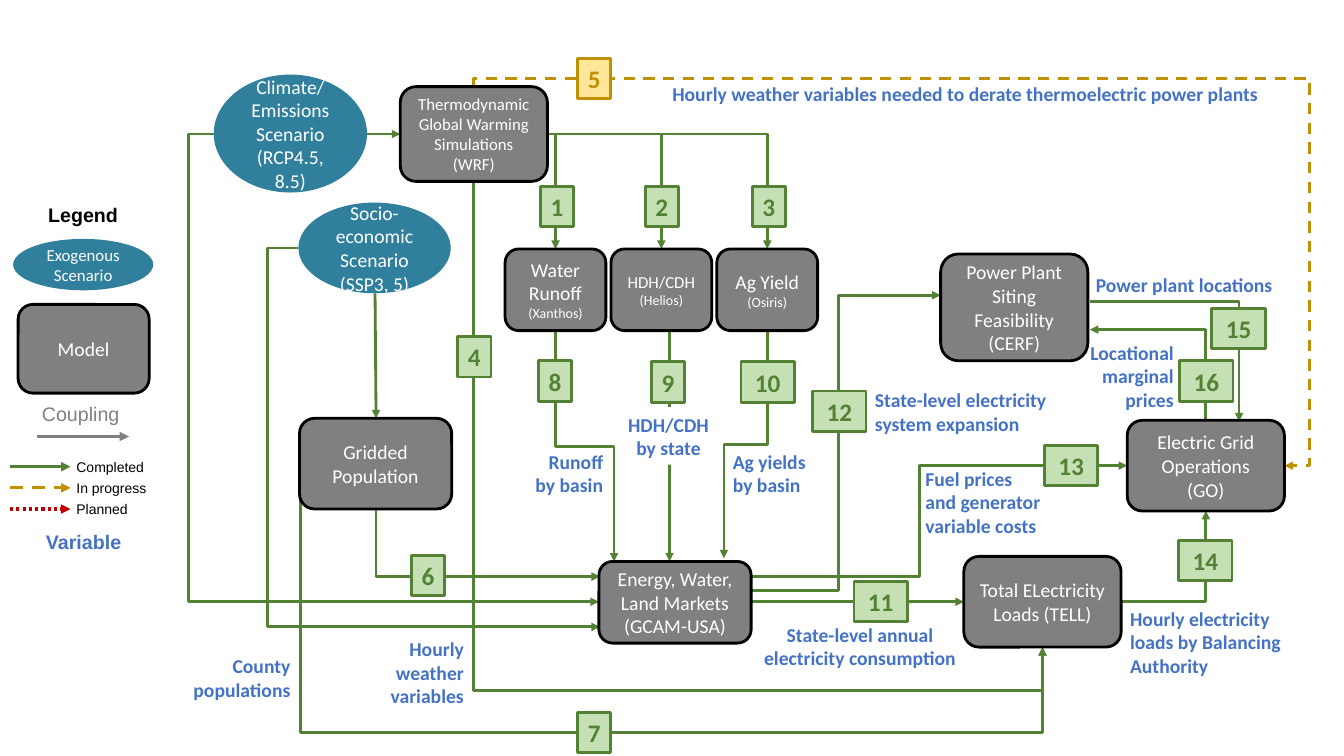
import pptx
import pptx.util
import pptx.dml.color
import pptx.enum.dml
import pptx.enum.shapes
import pptx.enum.text
import pptx.oxml.ns
import lxml.etree

Inches = pptx.util.Inches
Pt = pptx.util.Pt
Kind = pptx.enum.shapes.MSO_SHAPE
Link = pptx.enum.shapes.MSO_CONNECTOR
Dash = pptx.enum.dml.MSO_LINE
Align = pptx.enum.text.PP_ALIGN
Anchor = pptx.enum.text.MSO_ANCHOR
qn = pptx.oxml.ns.qn

COLORS = {
    "green": "548235", "mint": "C5E0B4", "gold": "BF9000", "cream": "FFE699",
    "teal": "307F9C", "gray": "808080", "blue": "4472C4", "red": "C00000",
    "white": "FFFFFF", "black": "000000",
}
SIDES = {"l": Align.LEFT, "c": Align.CENTER, "r": Align.RIGHT}


class Board:
    def __init__(self, slide):
        self.shapes = slide.shapes
        self.font = "Calibri"

    def color(self, name):
        return pptx.dml.color.RGBColor.from_string(COLORS[name])

    def letter(self, shape, text, size, color, side="c", bold=False, font=None, small=None):
        frame = shape.text_frame
        frame.word_wrap = True
        frame.text = text
        for row, para in enumerate(frame.paragraphs):
            para.alignment = SIDES[side]
            for run in para.runs:
                run.font.name = font or self.font
                run.font.size = Pt(small if small and row else size)
                run.font.bold = bold
                run.font.color.rgb = self.color(color)

    def shape(self, kind, box, fill, line=None):
        shape = self.shapes.add_shape(kind, *map(Inches, box))
        shape.shadow.inherit = False
        shape.fill.solid()
        shape.fill.fore_color.rgb = self.color(fill)
        if line:
            shape.line.color.rgb = self.color(line)
            shape.line.width = Pt(2)
        else:
            shape.line.fill.background()
        shape.text_frame.vertical_anchor = Anchor.MIDDLE
        return shape

    def model(self, box, text, size=14, small=None):
        self.letter(self.shape(Kind.ROUNDED_RECTANGLE, box, "gray", "black"),
                    text, size, "white", small=small)

    def oval(self, box, text, size=14):
        self.letter(self.shape(Kind.OVAL, box, "teal"), text, size, "white")

    def badge(self, num, left, top, fill="mint", color="green"):
        wide = 0.33 if num < 10 else 0.53
        shape = self.shape(Kind.RECTANGLE, (left, top, wide, 0.4), fill, color)
        self.letter(shape, str(num), 18, color, bold=True)

    def label(self, box, text, side="l", size=14, color="blue", bold=True, font=None):
        shape = self.shapes.add_textbox(*map(Inches, box))
        self.letter(shape, text, size, color, side, bold, font)

    def arrow(self, points, color="green", width=2, dash=None):
        start, end = points[0], points[-1]
        kind = Link.STRAIGHT if len(points) == 2 else Link.ELBOW
        link = self.shapes.add_connector(kind, *map(Inches, start + end))
        link.line.color.rgb = self.color(color)
        link.line.width = Pt(width)
        if dash:
            link.line.dash_style = dash
        props = link._element.spPr
        line = props.find(qn("a:ln"))
        lxml.etree.SubElement(line, qn("a:tailEnd"), type="triangle")
        lxml.etree.SubElement(props, qn("a:effectLst"))
        if kind == Link.ELBOW:
            self.bend(link, points)

    def bend(self, link, points):
        start, end = points[0], points[-1]
        props = link._element.spPr
        turned = points[1][0] == start[0]
        main, cross = (1, 0) if turned else (0, 1)
        span = [end[axis] - start[axis] for axis in (0, 1)]
        long, wide = abs(span[main]), abs(span[cross])
        link.left = Inches((start[0] + end[0] - long) / 2)
        link.top = Inches((start[1] + end[1] - wide) / 2)
        link.width, link.height = Inches(long), Inches(wide)
        frame = props.find(qn("a:xfrm"))
        frame.set("rot", "5400000" if turned else "0")
        frame.set("flipH", str(int(span[main] < 0)))
        frame.set("flipV", str(int((span[cross] < 0) != turned)))
        shape = props.find(qn("a:prstGeom"))
        shape.set("prst", f"bentConnector{len(points) - 1}")
        guides = shape.find(qn("a:avLst"))
        for step in range(1, len(points) - 2):
            axis = main if step % 2 else cross
            ratio = (points[step][axis] - start[axis]) / span[axis]
            lxml.etree.SubElement(guides, qn("a:gd"), name=f"adj{step}",
                                  fmla=f"val {round(ratio * 100000)}")


deck = pptx.Presentation()
deck.slide_width, deck.slide_height = Inches(13.33), Inches(7.5)
board = Board(deck.slides.add_slide(deck.slide_layouts[6]))

for points in [
    [(2.12, 1.33), (1.87, 1.33), (1.87, 5.97), (5.94, 5.97)],
    [(2.96, 2.46), (2.65, 2.46), (2.65, 6.22), (5.95, 6.22)],
    [(3.73, 5.06), (3.73, 5.72), (5.95, 5.72)],
    [(11.12, 5.97), (11.96, 5.97), (11.96, 5.07)],
    [(7.45, 5.97), (9.56, 5.97)],
    [(4.7, 1.8), (4.7, 6.85), (10.34, 6.85), (10.34, 6.42)],
    [(7.45, 5.72), (9.12, 5.72), (9.12, 4.62), (11.18, 4.62)],
    [(11.96, 4.17), (11.96, 3.27), (10.81, 3.27)],
    [(10.81, 2.99), (12.29, 2.99), (12.29, 4.18)],
    [(3.72, 2.91), (3.73, 4.15)],
    [(3.64, 1.33), (3.97, 1.33)],
    [(2.98, 4.61), (2.98, 7.27), (10.34, 7.27), (10.34, 6.42)],
    [(7.45, 5.86), (8.32, 5.86), (8.32, 2.93), (9.33, 2.93)],
    [(6.64, 3.28), (6.64, 5.57)],
    [(7.61, 3.28), (7.61, 4.41), (7.18, 4.41), (7.18, 5.54)],
    [(5.51, 3.28), (5.51, 4.43), (6.09, 4.43), (6.09, 5.57)],
]:
    board.arrow(points)
for left in (5.51, 6.56, 7.61):
    board.arrow([(5.43, 1.33), (left, 1.33), (left, 2.47)])
board.arrow([(4.7, 0.86), (4.7, 0.78), (12.99, 0.78), (12.99, 4.62), (12.74, 4.62)],
            "gold", dash=Dash.DASH)

for box, text, side in [
    ((10.77, 2.66, 1.96, 0.34), "Power plant locations", "l"),
    ((11.11, 5.97, 1.85, 0.81), "Hourly electricity loads by Balancing Authority", "l"),
    ((7.45, 6.13, 2.16, 0.57), "State-level annual electricity consumption", "c"),
    ((8.58, 3.8, 1.9, 0.57), "State-level electricity system expansion", "l"),
    ((6.57, 0.76, 6.06, 0.34),
     "Hourly weather variables needed to derate thermoelectric power plants", "l"),
    ((9.08, 4.58, 1.35, 0.81), "Fuel prices and generator variable costs", "l"),
    ((10.69, 3.33, 1.05, 0.81), "Locational marginal prices", "r"),
    ((3.77, 6.27, 0.93, 0.81), "Hourly weather variables", "r"),
    ((1.78, 6.44, 1.2, 0.57), "County populations", "r"),
    ((5.19, 4.41, 0.89, 0.57), "Runoff by basin", "r"),
    ((7.17, 4.41, 0.96, 0.57), "Ag yields\nby basin", "l"),
]:
    board.label(box, text, side)
state = board.shape(Kind.RECTANGLE, (6.12, 4.04, 1.02, 0.57), "white")
board.letter(state, "HDH/CDH\nby state", 14, "blue", bold=True)

board.oval((2.12, 0.74, 1.52, 1.17), "Climate/\nEmissions Scenario\n(RCP4.5, 8.5)")
board.oval((2.96, 2.01, 1.51, 0.9), "Socio-economic Scenario\n(SSP3, 5)")
board.model((11.18, 4.17, 1.56, 0.9), "Electric Grid Operations\n(GO)")
board.model((5.94, 5.57, 1.51, 0.81), "Energy, Water, Land Markets\n(GCAM-USA)")
board.model((9.56, 5.52, 1.56, 0.9), "Total ELectricity Loads (TELL)")
board.model((9.33, 2.52, 1.46, 1.06), "Power Plant Siting Feasibility\n(CERF)")
board.model((3.97, 0.86, 1.46, 0.94),
            "Thermodynamic Global Warming Simulations (WRF)", 12)
board.model((2.97, 4.15, 1.51, 0.9), "Gridded\nPopulation")
sectors = [("Water Runoff\n(Xanthos)", 14), ("HDH/CDH\n(Helios)", 12),
           ("Ag Yield\n(Osiris)", 14)]
for col, (text, size) in enumerate(sectors):
    board.model((5.01 + 1.05 * col, 2.47, 1, 0.81), text, size, 10)

for num, left, top in [
    (1, 5.36, 1.85), (2, 6.4, 1.85), (3, 7.46, 1.85), (4, 4.54, 3.34),
    (6, 4.08, 5.51), (7, 5.73, 7.07), (8, 5.34, 3.58), (9, 6.46, 3.59),
    (10, 7.35, 3.59), (11, 8.47, 5.77), (12, 8.06, 3.88), (13, 10.36, 4.42),
    (14, 11.69, 5.36), (15, 12.02, 3.06), (16, 11.7, 3.58),
]:
    board.badge(num, left, top)
board.badge(5, 5.73, 0.58, "cream", "gold")

board.label((0.31, 1.96, 1.03, 0.34), "Legend", "c", color="black", font="Arial")
board.oval((0.13, 2.37, 1.39, 0.51), "Exogenous Scenario", 12)
board.model((0.18, 3.02, 1.3, 0.88), "Model")
board.label((0.24, 3.94, 1.12, 0.34), "Coupling", "c", color="gray", bold=False, font="Arial")
board.arrow([(0.37, 4.33), (1.28, 4.33)], "gray", 2.25)
stages = [("Completed", "green", None), ("In progress", "gold", Dash.DASH),
          ("Planned", "red", Dash.ROUND_DOT)]
for row, (text, color, dash) in enumerate(stages):
    top = 4.63 + 0.21 * row
    board.arrow([(0.1, top), (0.7, top)], color, 2.25, dash)
    board.label((0.66, top - 0.13, 0.95, 0.27), text, size=10, color="black",
                bold=False, font="Arial")
board.label((0.16, 5.21, 1.34, 0.34), "Variable", "c", font="Arial")

deck.save("out.pptx")
